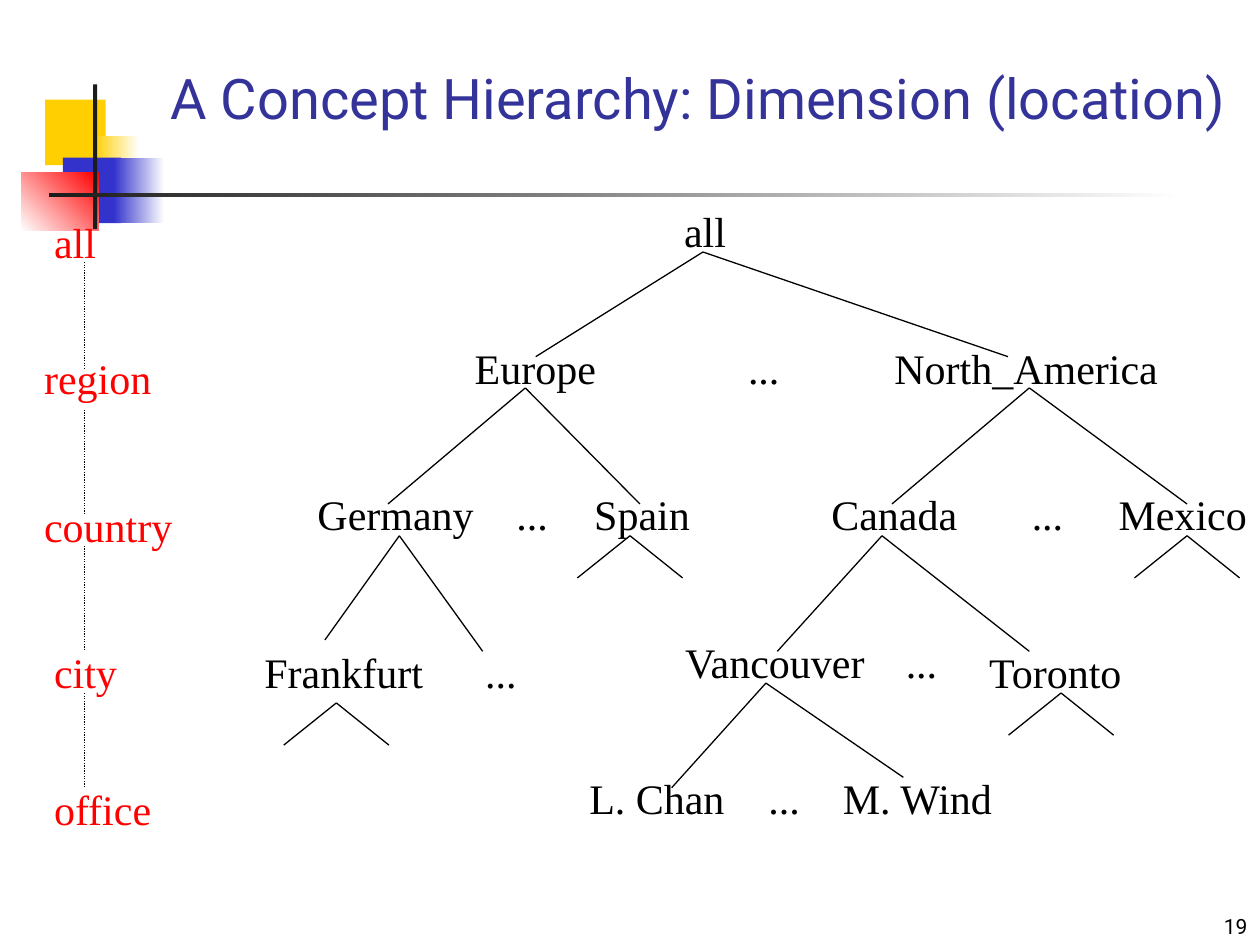
import pptx
import pptx.dml.color
import pptx.enum.dml
import pptx.enum.shapes
import pptx.enum.text
import pptx.oxml.xmlchemy
import pptx.util
from dataclasses import dataclass
from lxml import etree

from pptx.enum.text import MSO_ANCHOR, PP_ALIGN
from pptx.util import Cm


@dataclass(frozen=True)
class Theme:
    yellow: str = "FFCF01"
    blue: str = "3333CC"
    red: str = "FF0000"
    white: str = "FFFFFF"
    charcoal: str = "1C1C1C"
    title: str = "333399"
    text: str = "000000"
    heading_font: str = "Roboto"
    tree_font: str = "Times New Roman"
    title_size: int = 32
    tree_size: int = 24
    number_size: int = 12
    line_width: float = 0.75


theme = Theme()


def write_text(shape, text, *, font=theme.tree_font, size=theme.tree_size, color=theme.text,
               align=PP_ALIGN.LEFT, anchor=MSO_ANCHOR.TOP, wrap=False):
    frame = shape.text_frame
    frame.word_wrap = wrap
    frame.auto_size = pptx.enum.text.MSO_AUTO_SIZE.NONE
    frame.vertical_anchor = anchor
    paragraph = frame.paragraphs[0]
    paragraph.alignment = align
    run = paragraph.add_run()
    run.text = text
    run.font.name = font
    run.font.size = pptx.util.Pt(size)
    run.font.color.rgb = pptx.dml.color.RGBColor.from_string(color)


def draw_line(start, end, dash=None):
    """Draw a thin line without shadow between two points given in centimetres."""
    connector = slide.shapes.add_connector(
        pptx.enum.shapes.MSO_CONNECTOR.STRAIGHT, *map(Cm, start + end))
    connector.line.color.rgb = pptx.dml.color.RGBColor.from_string(theme.text)
    connector.line.width = pptx.util.Pt(theme.line_width)
    if dash:
        connector.line.dash_style = dash
    properties = connector._element.spPr
    etree.SubElement(properties, pptx.oxml.ns.qn("a:effectLst"))


presentation = pptx.Presentation()
presentation.slide_width, presentation.slide_height = Cm(25.4), Cm(19.05)
slide = presentation.slides.add_slide(presentation.slide_layouts[5])

# Corner ornament and rule: left, top, width, height, colours, gradient angle
ornaments = [
    (0.91, 2.01, 1.22, 1.32, [theme.yellow], 0),
    (1.9, 2.74, 0.91, 1.32, [theme.yellow, theme.white], 0),
    (1.27, 3.18, 1.17, 1.32, [theme.blue], 0),
    (2.29, 3.18, 1.02, 1.32, [theme.blue, theme.white], 0),
    (0.43, 3.48, 1.55, 1.17, [theme.white, theme.red], 45),
    (1.88, 1.7, 0.08, 2.92, [theme.charcoal], 0),
    (0.99, 3.89, 22.86, 0.08, [theme.charcoal, theme.white], 0),
]
for left, top, width, height, colors, angle in ornaments:
    ornament = slide.shapes.add_shape(
        pptx.enum.shapes.MSO_SHAPE.RECTANGLE, Cm(left), Cm(top), Cm(width), Cm(height))
    ornament.shadow.inherit = False
    ornament.line.fill.background()
    if len(colors) == 1:
        ornament.fill.solid()
        ornament.fill.fore_color.rgb = pptx.dml.color.RGBColor.from_string(colors[0])
    else:
        ornament.fill.gradient()
        ornament.fill.gradient_angle = angle
        for stop, color in zip(ornament.fill.gradient_stops, colors):
            stop.color.rgb = pptx.dml.color.RGBColor.from_string(color)

title = slide.shapes.title
title.left, title.top, title.width, title.height = Cm(3.18), Cm(1.07), Cm(22.22), Cm(1.7)
write_text(title, "A Concept Hierarchy: Dimension (location)", font=theme.heading_font,
           size=theme.title_size, color=theme.title, anchor=MSO_ANCHOR.BOTTOM, wrap=True)

slide_number = slide.shapes.add_textbox(Cm(20.12), Cm(17.78), Cm(5.28), Cm(1.27))
write_text(slide_number, "19", font=theme.heading_font, size=theme.number_size,
           align=PP_ALIGN.RIGHT, anchor=MSO_ANCHOR.BOTTOM, wrap=True)

# Labels by colour and row: text, left, top, width
dots_width = 1.14
levels = [
    ("all", 0.84, 4.24, 1.35),
    ("region", 0.64, 6.99, 2.67),
    ("country", 0.64, 9.96, 3.1),
    ("city", 0.84, 12.9, 1.78),
    ("office", 0.84, 15.67, 2.46),
]
nodes = [
    ("all", 13.54, 4.01, 1.35),
    ("Europe", 9.32, 6.78, 2.95),
    ("...", 14.83, 6.78, dots_width),
    ("North_America", 17.78, 6.78, 5.82),
    ("Germany", 6.15, 9.73, 3.66),
    ("...", 10.16, 9.73, dots_width),
    ("Spain", 11.73, 9.73, 2.44),
    ("Canada", 16.51, 9.73, 3.05),
    ("...", 20.55, 9.73, dots_width),
    ("Mexico", 22.3, 9.73, 3.1),
    ("Frankfurt", 5.08, 12.9, 3.71),
    ("...", 9.53, 12.9, dots_width),
    ("Vancouver", 13.56, 12.7, 4.22),
    ("...", 18.01, 12.7, dots_width),
    ("Toronto", 19.69, 12.9, 3.23),
    ("L. Chan", 11.63, 15.44, 3.23),
    ("...", 15.24, 15.44, dots_width),
    ("M. Wind", 16.74, 15.44, 3.56),
]
for labels, color in ((levels, theme.red), (nodes, theme.text)):
    for text, left, top, width in labels:
        label = slide.shapes.add_textbox(Cm(left), Cm(top), Cm(width), Cm(1.27))
        write_text(label, text, color=color)

# Each fork joins a parent to its first and last child
forks = [
    ((14.17, 5.08), (10.8, 7.19), (20.32, 7.19)),
    ((10.59, 7.82), (7.82, 10.16), (12.9, 10.16)),
    ((20.75, 7.82), (17.98, 10.16), (23.93, 10.16)),
    ((8.05, 10.8), (6.55, 12.9), (9.73, 13.13)),
    ((17.78, 10.8), (15.67, 13.13), (20.75, 13.13)),
    ((15.44, 13.77), (13.54, 15.88), (18.21, 15.67)),
]
# Unexpanded nodes carry a small fork of fixed size
for x, y in ((12.7, 10.8), (23.93, 10.8), (6.78, 14.17), (21.39, 13.97)):
    forks.append(((x, y), (x - 1.06, y + 0.85), (x + 1.06, y + 0.85)))
for parent, first_child, last_child in forks:
    draw_line(parent, first_child)
    draw_line(parent, last_child)

level_x = 1.7
for top, bottom in ((5.28, 7.42), (8.26, 10.36), (11, 13.13), (13.97, 15.88)):
    draw_line((level_x, top), (level_x, bottom), dash=pptx.enum.dml.MSO_LINE.ROUND_DOT)

presentation.save("out.pptx")
